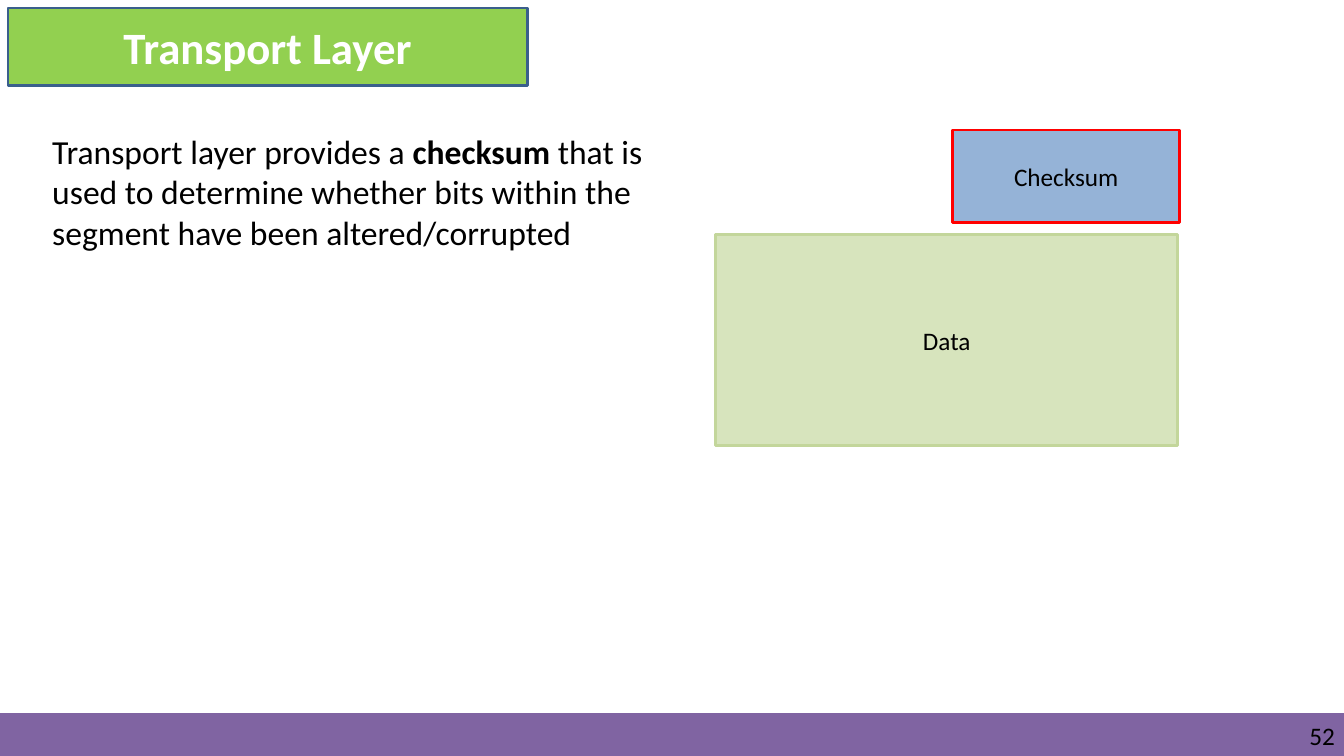
from pptx import Presentation
from pptx.dml.color import RGBColor
from pptx.enum.shapes import MSO_SHAPE
from pptx.enum.text import MSO_ANCHOR, MSO_AUTO_SIZE, PP_ALIGN
from pptx.util import Inches, Pt

WIDTH, HEIGHT = 13.33, 7.5
FOOTER_HEIGHT = 0.42

prs = Presentation()
prs.slide_width, prs.slide_height = Inches(WIDTH), Inches(HEIGHT)
slide = prs.slides.add_slide(prs.slide_layouts[5])


def paint(shape, fill, line, line_width):
    shape.fill.solid()
    shape.fill.fore_color.rgb = RGBColor.from_string(fill)
    shape.line.color.rgb = RGBColor.from_string(line)
    shape.line.width = Pt(line_width)


def write(shape, runs, size, align, color="000000"):
    paragraph = shape.text_frame.paragraphs[0]
    paragraph.alignment = align
    for text, bold in runs:
        run = paragraph.add_run()
        run.text = text
        run.font.name = "Calibri"
        run.font.size = Pt(size)
        run.font.bold = bold
        run.font.color.rgb = RGBColor.from_string(color)


# Footer band with the page number
footer = slide.shapes.add_shape(
    MSO_SHAPE.RECTANGLE, 0, Inches(HEIGHT - FOOTER_HEIGHT),
    Inches(WIDTH), Inches(FOOTER_HEIGHT))
footer.shadow.inherit = False
paint(footer, "8064A2", "8064A2", 1)

page_number = slide.shapes.add_textbox(
    Inches(10.17), Inches(7.15), Inches(3.07), Inches(0.3))
number_frame = page_number.text_frame
number_frame.word_wrap = True
number_frame.margin_left = number_frame.margin_right = 0
number_frame.margin_top = number_frame.margin_bottom = 0
write(page_number, [("52", False)], 18, PP_ALIGN.RIGHT)

# Title
title = slide.shapes.title
title.left, title.top = Inches(0.08), Inches(0.08)
title.width, title.height = Inches(5.15), Inches(0.77)
title.text_frame.auto_size = MSO_AUTO_SIZE.NONE
title.text_frame.vertical_anchor = MSO_ANCHOR.MIDDLE
paint(title, "92D050", "3A5F8C", 2)
write(title, [("Transport Layer", True)], 32, PP_ALIGN.CENTER, "FFFFFF")

# Explanation
explanation = slide.shapes.add_textbox(
    Inches(0.42), Inches(1.25), Inches(6.5), Inches(1.31))
explanation.text_frame.word_wrap = True
write(explanation, [
    ("Transport layer provides a ", False),
    ("checksum", True),
    (" that is used to determine whether bits within the "
     "segment have been altered/corrupted", False),
], 24, PP_ALIGN.LEFT)

# Segment parts: label, left, top, width, height, fill, line
segment_parts = [
    ("Checksum", 9.45, 1.29, 2.25, 0.92, "95B3D7", "FF0000"),
    ("Data", 7.1, 2.33, 4.58, 2.09, "D7E4BD", "C3D69B"),
]
for label, left, top, width, height, fill, line in segment_parts:
    part = slide.shapes.add_shape(
        MSO_SHAPE.RECTANGLE, Inches(left), Inches(top),
        Inches(width), Inches(height))
    part.shadow.inherit = False
    part.text_frame.vertical_anchor = MSO_ANCHOR.MIDDLE
    paint(part, fill, line, 2)
    write(part, [(label, False)], 18, PP_ALIGN.CENTER)

prs.save("out.pptx")
